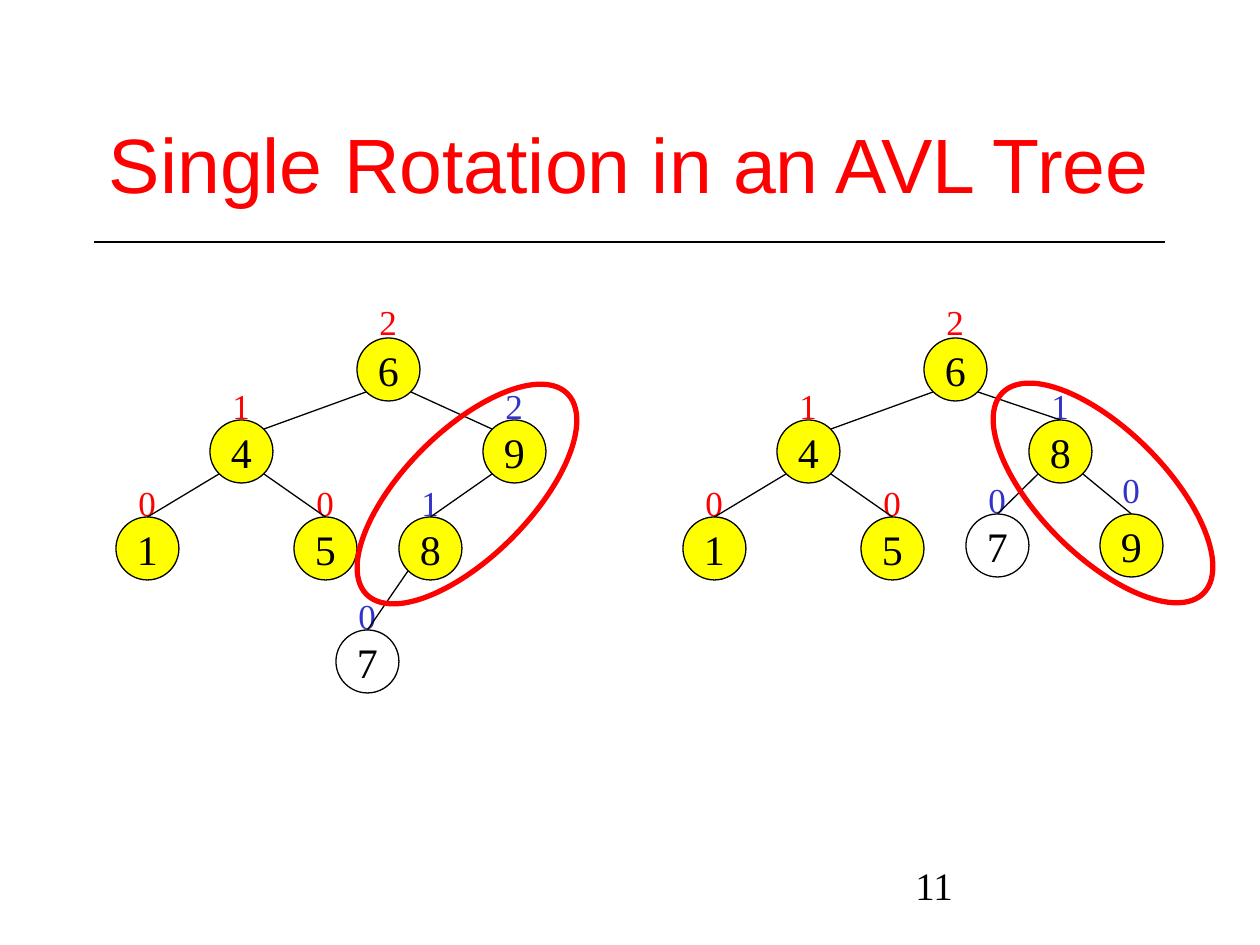
from collections import namedtuple

from lxml.etree import SubElement
from pptx import Presentation
from pptx.dml.color import RGBColor
from pptx.enum.shapes import MSO_CONNECTOR as Link, MSO_SHAPE as Preset
from pptx.enum.text import MSO_ANCHOR as Anchor, MSO_AUTO_SIZE as Fit, PP_ALIGN as Align
from pptx.oxml.ns import qn
from pptx.util import Emu, Pt

BLACK = RGBColor(0, 0, 0)
RED = RGBColor(255, 0, 0)
BLUE = RGBColor(0x33, 0x33, 0xCC)
YELLOW = RGBColor(255, 255, 0)
SERIF = "Times New Roman"
SANS = "Arial"
NODE = 63
NEAR, FAR = 9, 54

Box = namedtuple("Box", "left top width height")
Node = namedtuple("Node", "left top balance color fill lift", defaults=(RED, YELLOW, 42))

SHARED_NODES = {
    "6": Node(241, 44, "2", lift=44),
    "4": Node(94, 126, "1"),
    "1": Node(0, 223, "0"),
    "5": Node(178, 223, "0"),
}
BEFORE_NODES = {
    **SHARED_NODES,
    "9": Node(367, 126, "2", BLUE),
    "8": Node(283, 223, "1", BLUE),
    "7": Node(220, 336, "0", BLUE, None),
}
AFTER_NODES = {
    **SHARED_NODES,
    "8": Node(346, 126, "1", BLUE),
    "9": Node(417, 220, "0", BLUE, lift=52),
    "7": Node(283, 220, "0", BLUE, None),
}
SHARED_EDGES = ["64", "41", "45"]
BEFORE_EDGES = SHARED_EDGES + ["69", "98", "87"]
AFTER_EDGES = SHARED_EDGES + ["68", "89", "87"]
CORNER_EDGES = {"64", "69"}


def px(count):
    return Emu(round(count * 914400 / 126))


def place(box):
    return [px(length) for length in box]


def write(shape, text, size=24, font=SERIF, color=BLACK, align=Align.LEFT,
          anchor=Anchor.TOP, wrap=False, fit=Fit.NONE, spacing=None):
    frame = shape.text_frame
    frame.word_wrap = wrap
    frame.auto_size = fit
    frame.vertical_anchor = anchor
    para = frame.paragraphs[0]
    para.alignment = align
    para.line_spacing = spacing
    span = para.add_run()
    span.text = text
    span.font.size = Pt(size)
    span.font.name = font
    span.font.color.rgb = color


def add_text(page, box, text, **style):
    write(page.shapes.add_textbox(*place(box)), text, **style)


def add_line(page, start, end):
    line = page.shapes.add_connector(Link.STRAIGHT, *place(start + end))
    line.line.color.rgb = BLACK
    line.line.width = Pt(0.75)
    SubElement(line._element.spPr, qn("a:effectLst"))


def add_ellipse(page, box, fill=None, color=BLACK, weight=0.75):
    ellipse = page.shapes.add_shape(Preset.OVAL, *place(box))
    ellipse.shadow.inherit = False
    if fill is None:
        ellipse.fill.background()
    else:
        ellipse.fill.solid()
        ellipse.fill.fore_color.rgb = fill
    ellipse.line.color.rgb = color
    ellipse.line.width = Pt(weight)
    return ellipse


def add_node(page, box, key, node):
    label = Box(box.left + 10, box.top - node.lift, 43, 55)
    add_text(page, label, node.balance, size=20, color=node.color, fit=Fit.SHAPE_TO_FIT_TEXT)
    circle = add_ellipse(page, box, node.fill)
    write(circle, key, align=Align.CENTER, anchor=Anchor.MIDDLE)


def add_edge(page, parent, child, to_corner):
    leftward = child.left < parent.left
    start = (parent.left + (NEAR if leftward else FAR), parent.top + FAR)
    if to_corner:
        end = (child.left + (FAR if leftward else NEAR), child.top + NEAR)
    else:
        end = (child.left + NODE / 2, child.top)
    add_line(page, start, end)


def add_tree(page, box, nodes, edges, ring, angle):
    circles = {key: Box(box.left + node.left, box.top + node.top, NODE, NODE)
               for key, node in nodes.items()}
    for key, node in nodes.items():
        add_node(page, circles[key], key, node)
    for edge in edges:
        parent, child = edge
        add_edge(page, circles[parent], circles[child], edge in CORNER_EDGES)
    ring_box = Box(box.left + ring[0], box.top + ring[1], 284, 126)
    add_ellipse(page, ring_box, color=RED, weight=3).rotation = angle


def add_header(page, box):
    add_text(page, box, "Single Rotation in an AVL Tree", size=44, font=SANS, color=RED,
             align=Align.CENTER, anchor=Anchor.MIDDLE, wrap=True)
    rule_top = box.top + 178
    add_line(page, (box.left, rule_top), (box.left + box.width, rule_top))


def add_footer(page, box):
    add_text(page, box, "11", size=22.2, wrap=True, spacing=0.9)


def main():
    deck = Presentation()
    deck.slide_width, deck.slide_height = px(1260), px(945)
    page = deck.slides.add_slide(deck.slide_layouts[6])
    add_header(page, Box(94, 64, 1071, 198))
    add_tree(page, Box(116, 294, 462, 399), BEFORE_NODES, BEFORE_EDGES, (209, 137), 315)
    add_tree(page, Box(683, 294, 530, 310), AFTER_NODES, AFTER_EDGES, (278, 136), 45)
    add_footer(page, Box(903, 861, 262, 63))
    deck.save("out.pptx")


if __name__ == "__main__":
    main()
